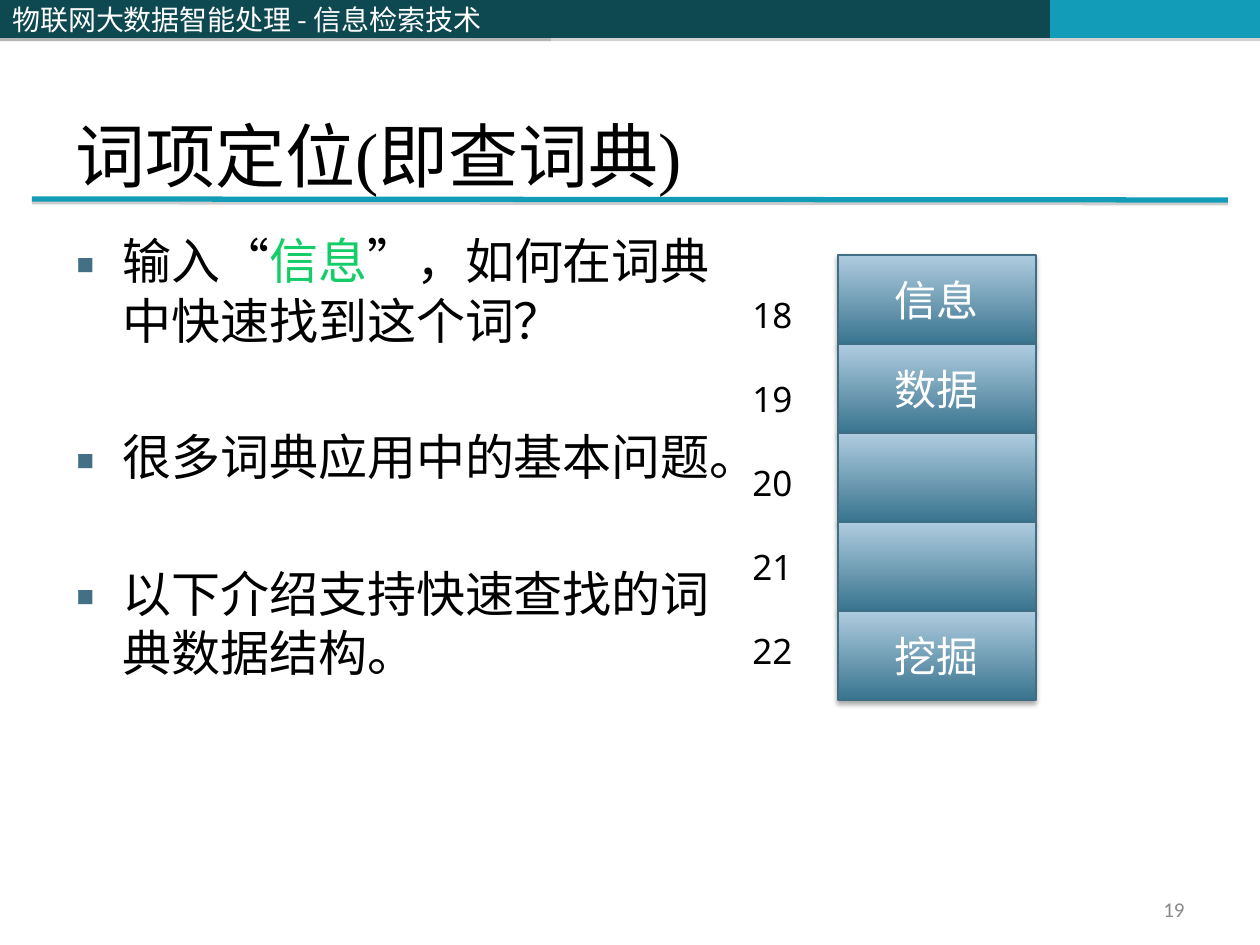
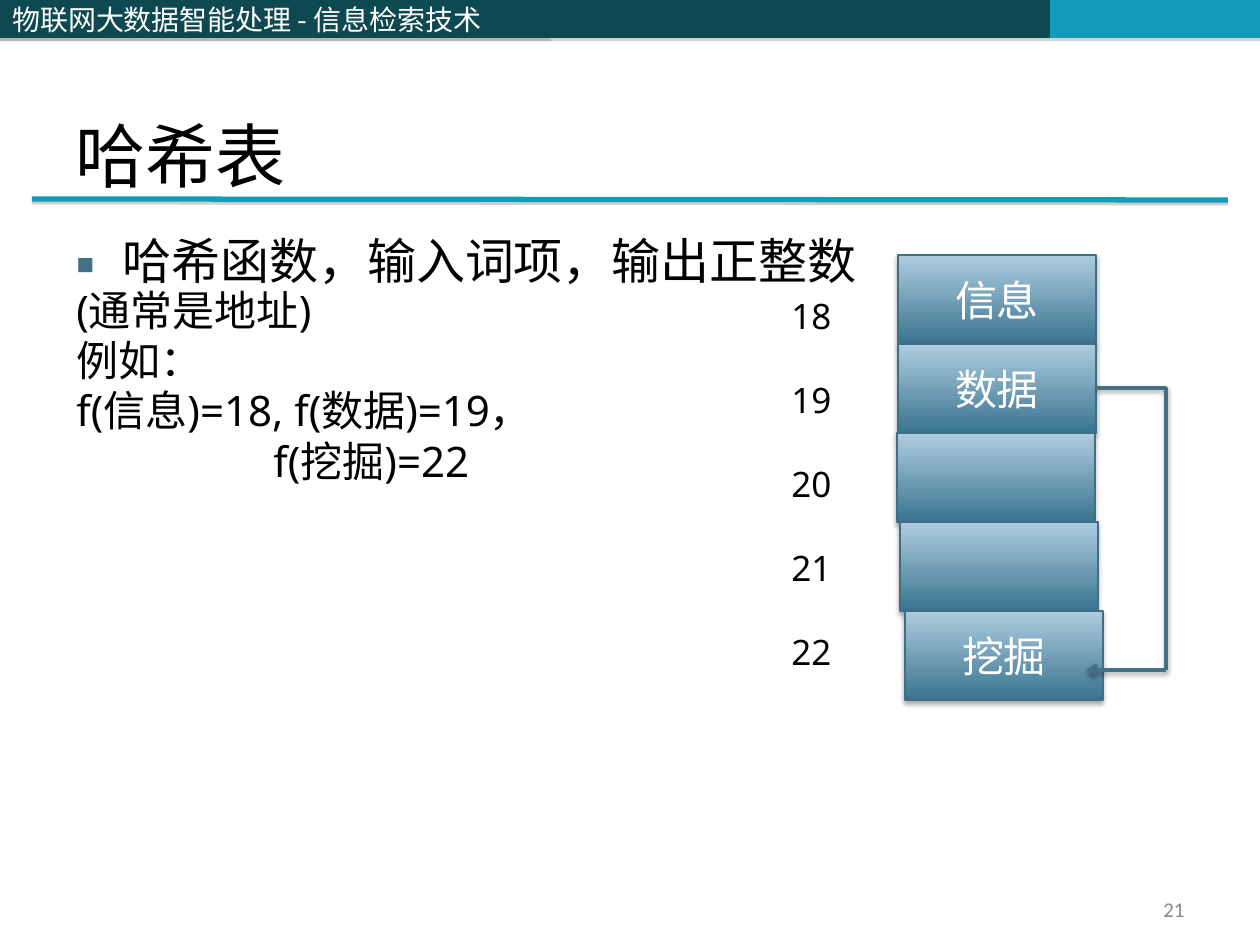
from lxml import etree
from pptx import Presentation
from pptx import util as u
from pptx.dml.color import RGBColor
from pptx.enum import shapes, text
from pptx.oxml.ns import qn

EMU_PER_PX = u.Inches(1) / 126
COLOURS = {
    "band": "0E4851", "accent": "139CB7", "ink": "000000", "white": "FFFFFF",
    "highlight": "14CD68", "bullet": "437085", "page_number": "898989",
    "cell_dark": "39748F", "cell_light": "AFCCDF", "cell_line": "406E84",
    "band_shadow": "808080", "cell_shadow": "000000",
}
SERIF, SANS, CJK, NUMBER = "Times New Roman", "Noto Sans", "Noto Sans CJK SC", "Calibri"
HEADER = "物联网大数据智能处理 - 信息检索技术"
TERMS = ["信息", "数据", "", "", "挖掘"]
ADDRESSES = ["18", "19", "20", "21", "22"]
CELL_TOP, CELL_WIDTH, CELL_HEIGHT = 255, 198, 89


def px(length):
    return u.Emu(round(length * EMU_PER_PX))


def rgb(name):
    return RGBColor.from_string(COLOURS[name])


def add_node(parent, tag, **attributes):
    node = etree.SubElement(parent, qn(tag))
    for name, value in attributes.items():
        node.set(name, str(value))
    return node


def cast_shadow(item, colour, alpha=35, blur=0, distance=1.8):
    """Give a filled and outlined shape or connector its downward shadow."""
    effects = add_node(item.element.spPr, "a:effectLst")
    shadow = add_node(effects, "a:outerShdw", blurRad=u.Pt(blur), dist=u.Pt(distance),
                      dir=90 * 60000, rotWithShape=0)
    shade = add_node(shadow, "a:srgbClr", val=COLOURS[colour])
    add_node(shade, "a:alpha", val=alpha * 1000)


def set_bullet(para, indent=47):
    properties = para._p.get_or_add_pPr()
    properties.set("marL", str(px(indent)))
    properties.set("indent", str(-px(indent)))
    colour = add_node(properties, "a:buClr")
    add_node(colour, "a:srgbClr", val=COLOURS["bullet"])
    add_node(properties, "a:buFont", typeface=SANS)
    add_node(properties, "a:buChar", char="▪")


def write(item, paragraphs, size, font=SERIF, colour="ink", align="LEFT", anchor="TOP",
          line=None, gap=0, bullet=False):
    """Fill a shape; a paragraph is a string or a list of (text, colour) spans."""
    frame = item.text_frame
    frame.word_wrap = True
    frame.auto_size = text.MSO_AUTO_SIZE.NONE
    frame.vertical_anchor = text.MSO_ANCHOR[anchor]
    for index, content in enumerate(paragraphs):
        para = frame.add_paragraph() if index else frame.paragraphs[0]
        para.alignment = text.PP_ALIGN[align]
        para.space_before = u.Pt(gap if index else 0)
        if line:
            para.line_spacing = u.Pt(line)
        if bullet:
            set_bullet(para)
        spans = [(content, colour)] if isinstance(content, str) else content
        for words, span_colour in spans:
            span = para.add_run()
            span.text = words
            span.font.size = u.Pt(size)
            span.font.name = font
            span.font.color.rgb = rgb(span_colour)
            add_node(span.font._element, "a:ea", typeface=CJK)
    return frame


def place(item, left, top, width, height):
    item.left, item.top, item.width, item.height = map(px, (left, top, width, height))


def add_label(page, left, top, width, height, paragraphs, **style):
    box = page.shapes.add_textbox(*map(px, (left, top, width, height)))
    return write(box, paragraphs, **style)


def add_rectangle(page, left, top, width, height):
    return page.shapes.add_shape(shapes.MSO_SHAPE.RECTANGLE,
                                 *map(px, (left, top, width, height)))


def add_band(page, left, width, colour):
    band = add_rectangle(page, left, 0, width, 38)
    band.fill.solid()
    band.fill.fore_color.rgb = rgb(colour)
    band.line.fill.background()
    cast_shadow(band, "band_shadow")
    return band


def add_line(page, start, end, colour, width, shadow, blur=0, kind="STRAIGHT"):
    line = page.shapes.add_connector(shapes.MSO_CONNECTOR[kind], *map(px, start + end))
    line.line.color.rgb = rgb(colour)
    line.line.width = u.Pt(width)
    cast_shadow(line, shadow, alpha=38, blur=blur, distance=1.6)
    return line


def add_cell(page, left, top, term):
    cell = add_rectangle(page, left, top, CELL_WIDTH, CELL_HEIGHT)
    cell.fill.gradient()
    cell.fill.gradient_angle = 90
    for stop, colour in zip(cell.fill.gradient_stops, ("cell_dark", "cell_light")):
        stop.color.rgb = rgb(colour)
    cell.line.color.rgb = rgb("cell_line")
    cell.line.width = u.Pt(0.75)
    cast_shadow(cell, "cell_shadow", blur=3.1)
    if term:
        write(cell, [term], size=24, font=NUMBER, colour="white", align="CENTER",
              anchor="MIDDLE")


def add_dictionary(page, cell_lefts, address_left, address_top):
    """Stack the term cells and list their addresses to the left."""
    for row, (left, term) in enumerate(zip(cell_lefts, TERMS)):
        add_cell(page, left, CELL_TOP + row * CELL_HEIGHT, term)
    add_label(page, address_left, address_top, 110, 403, ADDRESSES,
              size=20, font=SANS, line=24, gap=24)


def add_collision_arrow(page):
    """Lead from the second cell around to the last one."""
    style = dict(colour="bullet", width=2, shadow="cell_shadow", blur=3.1)
    corner = (1166, 670)
    elbow = add_line(page, (1096, 388), corner, kind="ELBOW", **style)
    elbow.element.spPr.find(qn("a:prstGeom")).set("prst", "bentConnector2")
    arrow = add_line(page, corner, (1086, 670), **style)
    add_node(arrow.line._get_or_add_ln(), "a:tailEnd", type="arrow")


def decorate_layout(layout, page):
    """Draw the header and title rule on a page, then hand them to its layout."""
    header = add_band(page, 0, 551, "band")
    write(header, [HEADER], size=16, font=CJK, colour="white", anchor="MIDDLE")
    furniture = [
        add_band(page, 0, 514, "band"),
        add_band(page, 514, 536, "band"),
        add_band(page, 1050, 210, "accent"),
        add_line(page, (32, 199), (1228, 200), "accent", 3, "band_shadow"),
        header,
    ]
    for item in furniture:
        layout.shapes.element.append(item.element)


def add_page(deck, title, points, body_width, number):
    page = deck.slides.add_slide(deck.slide_layouts[1])
    heading, body = page.placeholders
    place(heading, 63, 46, 1134, 157)
    write(heading, [title], size=40, anchor="BOTTOM")
    place(body, 63, 224, body_width, 683)
    write(body, points, size=28, line=34, gap=44, bullet=True)
    add_label(page, 903, 892, 294, 34, [number], size=12, font=NUMBER,
              colour="page_number", align="RIGHT", anchor="MIDDLE")
    return page


def main():
    deck = Presentation()
    deck.slide_width, deck.slide_height = px(1260), px(945)

    lookup = add_page(deck, "词项定位(即查词典)", [
        [("输入“", "ink"), ("信息", "highlight"), ("”，如何在词典中快速找到这个词？", "ink")],
        "很多词典应用中的基本问题。",
        "以下介绍支持快速查找的词典数据结构。",
    ], 685, "19")
    decorate_layout(deck.slide_layouts[1], lookup)
    add_dictionary(lookup, [838] * len(TERMS), 740, 287)

    hashing = add_page(deck, "哈希表", ["哈希函数，输入词项，输出正整数"], 1134, "21")
    add_dictionary(hashing, [898, 898, 897, 900, 905], 779, 288)
    example = add_label(hashing, 64, 278, 625, 318, [
        "(通常是地址)", "例如：", "f(信息)=18, f(数据)=19，", "f(挖掘)=22",
    ], size=24, font=SANS, line=28.8)
    example.paragraphs[-1]._p.get_or_add_pPr().set("marL", str(px(197)))
    add_collision_arrow(hashing)

    deck.save("out.pptx")


if __name__ == "__main__":
    main()
